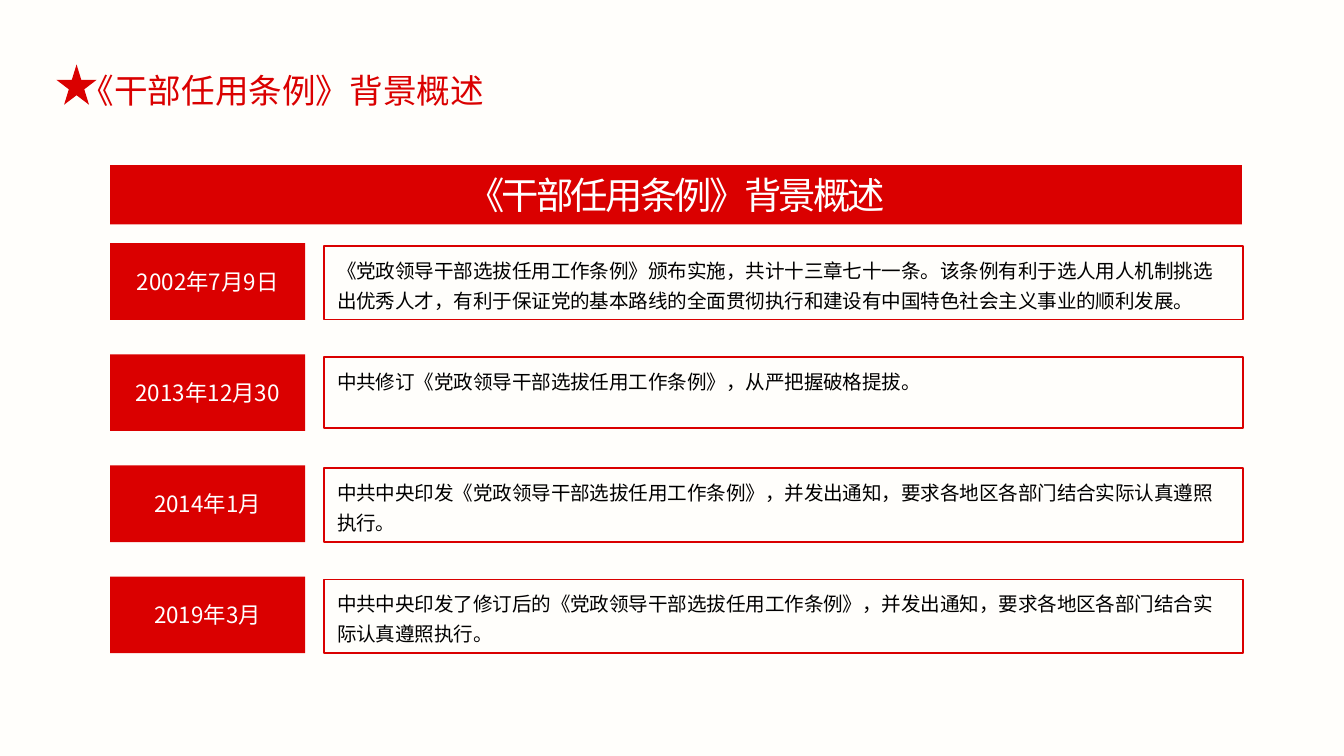
from dataclasses import dataclass

from lxml.etree import SubElement
from pptx import Presentation
from pptx.dml.color import RGBColor
from pptx.enum.shapes import MSO_SHAPE as Shape
from pptx.enum.text import MSO_ANCHOR as Anchor, MSO_AUTO_SIZE as AutoSize, PP_ALIGN as Align
from pptx.oxml.ns import qn
from pptx.util import Inches, Pt


@dataclass(frozen=True)
class Theme:
    red: RGBColor = RGBColor(0xDA, 0x00, 0x00)
    white: RGBColor = RGBColor(0xFF, 0xFF, 0xFF)
    black: RGBColor = RGBColor(0x00, 0x00, 0x00)
    background: RGBColor = RGBColor(0xFF, 0xFE, 0xFB)
    title_font: str = "Arial"
    font: str = "Noto Sans CJK SC"
    title_size: float = 18
    banner_size: float = 20
    date_size: float = 12
    body_size: float = 10.5
    body_leading: float = 16


THEME = Theme()
HEADING = "《干部任用条例》背景概述"
SLIDE_WIDTH = 10
SLIDE_HEIGHT = SLIDE_WIDTH * 9 / 16
LEFT = 0.82
FIRST_TOP, LAST_TOP = 1.81, 4.29
MILESTONES = [
    ("2002年7月9日", "《党政领导干部选拔任用工作条例》颁布实施，共计十三章七十一条。该条例有利于选人用人机制挑选出优秀人才，有利于保证党的基本路线的全面贯彻执行和建设有中国特色社会主义事业的顺利发展。", 0.55),
    ("2013年12月30", "中共修订《党政领导干部选拔任用工作条例》，从严把握破格提拔。", 0.53),
    ("2014年1月", "中共中央印发《党政领导干部选拔任用工作条例》，并发出通知，要求各地区各部门结合实际认真遵照执行。", 0.55),
    ("2019年3月", "中共中央印发了修订后的《党政领导干部选拔任用工作条例》，并发出通知，要求各地区各部门结合实际认真遵照执行。", 0.55),
]


def write_text(shape, text, size, color, font=THEME.font, align=Align.LEFT,
               anchor=Anchor.TOP, margins=(0.1, 0.05), wrap=True,
               auto_size=AutoSize.SHAPE_TO_FIT_TEXT, leading=None, tracking=None):
    frame = shape.text_frame
    frame.word_wrap = wrap
    frame.auto_size = auto_size
    frame.vertical_anchor = anchor
    frame.margin_left = frame.margin_right = Inches(margins[0])
    frame.margin_top = frame.margin_bottom = Inches(margins[1])
    paragraph = frame.paragraphs[0]
    paragraph.alignment = align
    if leading:
        paragraph.line_spacing = Pt(leading)
    run = paragraph.add_run()
    run.text = text
    run.font.size = Pt(size)
    run.font.color.rgb = color
    run.font.name = font
    properties = run.font._element
    SubElement(properties, qn("a:ea")).set("typeface", THEME.font)
    if tracking:
        properties.set("spc", str(int(tracking * 100)))


def add_box(shapes, kind, left, top, width, height, fill=None, line=None):
    shape = shapes.add_shape(kind, Inches(left), Inches(top), Inches(width), Inches(height))
    shape.shadow.inherit = False
    if fill is None:
        shape.fill.background()
    else:
        shape.fill.solid()
        shape.fill.fore_color.rgb = fill
    if line is None:
        shape.line.fill.background()
    else:
        shape.line.color.rgb = line
        shape.line.width = Pt(0.75)
    return shape


def add_title(slide):
    title = slide.shapes.title
    title.left, title.top = Inches(0.5), Inches(0.47)
    title.width, title.height = Inches(3.23), Inches(0.4)
    write_text(title, HEADING, THEME.title_size, THEME.red, font=THEME.title_font, wrap=False)
    add_box(slide.shapes, Shape.STAR_5_POINT, 0.42, 0.48, 0.3, 0.3, fill=THEME.red)


def add_banner(slide):
    banner = add_box(slide.shapes, Shape.RECTANGLE, LEFT, 1.23, 8.42, 0.44, fill=THEME.red)
    write_text(banner, HEADING, THEME.banner_size, THEME.white, align=Align.CENTER, tracking=-1.5)


def add_milestone(slide, top, date, description, height):
    group = slide.shapes.add_group_shape()
    label = add_box(group.shapes, Shape.ROUNDED_RECTANGLE, LEFT, top, 1.45, 0.57, fill=THEME.red)
    label.adjustments[0] = 0
    write_text(label, date, THEME.date_size, THEME.white, align=Align.CENTER,
               anchor=Anchor.MIDDLE, margins=(0.13, 0.07), auto_size=AutoSize.NONE)
    detail = add_box(group.shapes, Shape.RECTANGLE, 2.41, top + 0.02, 6.84, height, line=THEME.red)
    write_text(detail, description, THEME.body_size, THEME.black, leading=THEME.body_leading)


def main():
    presentation = Presentation()
    presentation.slide_width = Inches(SLIDE_WIDTH)
    presentation.slide_height = Inches(SLIDE_HEIGHT)
    slide = presentation.slides.add_slide(presentation.slide_layouts[5])
    slide.background.fill.solid()
    slide.background.fill.fore_color.rgb = THEME.background
    add_title(slide)
    add_banner(slide)
    pitch = (LAST_TOP - FIRST_TOP) / (len(MILESTONES) - 1)
    for index, milestone in enumerate(MILESTONES):
        add_milestone(slide, FIRST_TOP + index * pitch, *milestone)
    presentation.save("out.pptx")


if __name__ == "__main__":
    main()
